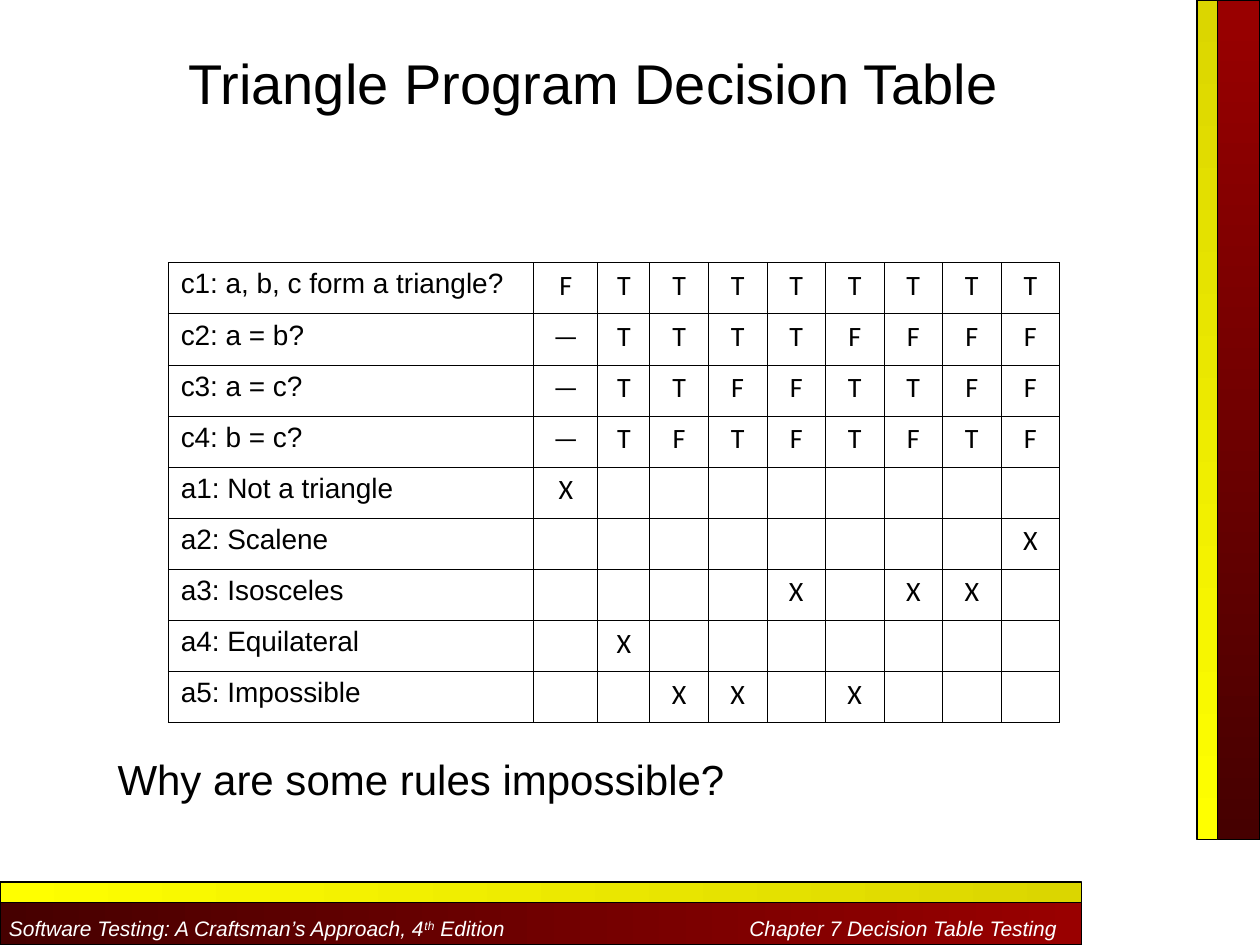
from pptx import Presentation
from pptx.dml.color import RGBColor
from pptx.enum.shapes import MSO_SHAPE
from pptx.enum.text import MSO_ANCHOR, PP_ALIGN
from pptx.oxml.ns import qn
from pptx.util import Cm, Pt
from lxml import etree

RECTANGLE = MSO_SHAPE.RECTANGLE
TOP, MIDDLE = MSO_ANCHOR.TOP, MSO_ANCHOR.MIDDLE
LEFT, CENTER = PP_ALIGN.LEFT, PP_ALIGN.CENTER

COLORS = {
    "text": "000000",
    "paper": "FFFFFF",
    "red": "990000",
    "dark red": "460000",
    "yellow": "FFFF00",
    "dark yellow": "DBD600",
}
TITLE_ONLY = 5
DOWNWARD, RIGHTWARD = 270, 0
STRIPE, BAR = 0.42, 0.85
ROW_HEIGHT = 1.03
COLUMN_WIDTHS = [7.37, 1.29, 1.05] + [1.18] * 7
RULES = [
    ("c1: a, b, c form a triangle?", "FTTTTTTTT"),
    ("c2: a = b?", "—TTTTFFFF"),
    ("c3: a = c?", "—TTFFTTFF"),
    ("c4: b = c?", "—TFTFTFTF"),
    ("a1: Not a triangle", "X        "),
    ("a2: Scalene", "        X"),
    ("a3: Isosceles", "    X XX "),
    ("a4: Equilateral", " X       "),
    ("a5: Impossible", "  XX X   "),
]


def color(name):
    """Return the named color."""
    return RGBColor.from_string(COLORS[name])


def style(font, size, name="Arial", tint="text", italic=False):
    """Set the look of a font."""
    font.size, font.name, font.italic = Pt(size), name, italic
    font.color.rgb = color(tint)


def add_band(slide, box, tints, angle):
    """Add an outlined rectangle with a two-color gradient."""
    band = slide.shapes.add_shape(RECTANGLE, *map(Cm, box))
    band.shadow.inherit = False
    band.fill.gradient()
    band.fill.gradient_angle = angle
    for stop, tint in zip(band.fill.gradient_stops, tints):
        stop.color.rgb = color(tint)
    band.line.color.rgb = color("text")
    band.line.width = Pt(0.75)
    return band


def add_side(slide, box):
    """Place the yellow stripe and the red bar side by side."""
    left, top, width, height = box
    add_band(slide, (left + STRIPE, top, width - STRIPE, height), ("red", "dark red"), DOWNWARD)
    add_band(slide, (left, top, STRIPE, height), ("dark yellow", "yellow"), DOWNWARD)


def add_footer(slide, box):
    """Place the yellow stripe above the red bar with the running text."""
    left, top, width, height = box
    bar = add_band(slide, (left, top + STRIPE, width, height - STRIPE),
                   ("dark red", "red"), RIGHTWARD)
    add_band(slide, (left, top, width, STRIPE), ("yellow", "dark yellow"), RIGHTWARD)
    frame = bar.text_frame
    frame.word_wrap = True
    frame.vertical_anchor = MIDDLE
    frame.margin_left, frame.margin_right = Cm(0.18), Cm(0.1)
    frame.margin_top, frame.margin_bottom = Cm(0.18), 0
    para = frame.paragraphs[0]
    para.alignment = LEFT
    tabs = etree.SubElement(para._p.get_or_add_pPr(), qn("a:tabLst"))
    etree.SubElement(tabs, qn("a:tab"), pos=str(Cm(width - 0.67)), algn="r")
    for text in ("Software Testing: A Craftsman’s Approach, 4", "th",
                 " Edition\tChapter 7 Decision Table Testing"):
        span = para.add_run()
        span.text = text
        style(span.font, 12, tint="paper", italic=True)
    para.runs[1].font._element.set("baseline", "30000")


def set_borders(cell):
    """Draw black lines on all four sides of a cell."""
    properties = cell._tc.get_or_add_tcPr()
    for side, width in (("L", 0.45), ("R", 0.45), ("T", 0.06), ("B", 0.06)):
        line = etree.SubElement(properties, qn(f"a:ln{side}"), w=str(Pt(width)))
        fill = etree.SubElement(line, qn("a:solidFill"))
        etree.SubElement(fill, qn("a:srgbClr"), val=COLORS["text"])


def fill_cell(cell, text, font, alignment):
    """Write one cell of the decision table."""
    set_borders(cell)
    cell.fill.background()
    para = cell.text_frame.paragraphs[0]
    para.alignment = alignment
    if text.strip():
        para.text = text
        style(para.runs[0].font, 16, font)


def add_decision_table(slide, box):
    """Place the table of conditions, actions and rules."""
    frame = slide.shapes.add_table(len(RULES), len(COLUMN_WIDTHS), *map(Cm, box))
    table = frame.table
    table.first_row = table.horz_banding = False
    for column, width in zip(table.columns, COLUMN_WIDTHS):
        column.width = Cm(width)
    for row, (label, marks) in zip(table.rows, RULES):
        row.height = Cm(ROW_HEIGHT)
        label_cell, *mark_cells = row.cells
        fill_cell(label_cell, label, "Arial", LEFT)
        for cell, mark in zip(mark_cells, marks):
            fill_cell(cell, mark, "Calibri", CENTER)


def write_line(shape, text, size, alignment, anchor):
    """Write a single line of text into a shape."""
    frame = shape.text_frame
    frame.word_wrap = True
    frame.vertical_anchor = anchor
    frame.text = text
    para = frame.paragraphs[0]
    para.alignment = alignment
    style(para.runs[0].font, size)


def add_title(slide, box):
    """Move and fill the title placeholder."""
    title = slide.shapes.title
    title.left, title.top, title.width, title.height = map(Cm, box)
    title.fill.solid()
    title.fill.fore_color.rgb = color("paper")
    write_line(title, "Triangle Program Decision Table", 32, CENTER, TOP)


def add_question(slide, box):
    """Place the question below the table."""
    question = slide.shapes.add_textbox(*map(Cm, box))
    write_line(question, "Why are some rules impossible?", 24, LEFT, MIDDLE)


def main():
    """Build the deck and save it."""
    deck = Presentation()
    deck.slide_width, deck.slide_height = Cm(25.4), Cm(19.05)
    page = deck.slides.add_slide(deck.slide_layouts[TITLE_ONLY])
    add_side(page, (24.13, 0, STRIPE + BAR, 16.93))
    add_footer(page, (0, 17.78, 21.8, STRIPE + BAR))
    add_decision_table(page, (3.39, 5.29, sum(COLUMN_WIDTHS), ROW_HEIGHT * len(RULES)))
    add_title(page, (2.12, 0.85, 19.69, 2.62))
    add_question(page, (2.12, 14.39, 19.69, 2.62))
    deck.save("out.pptx")


if __name__ == "__main__":
    main()
